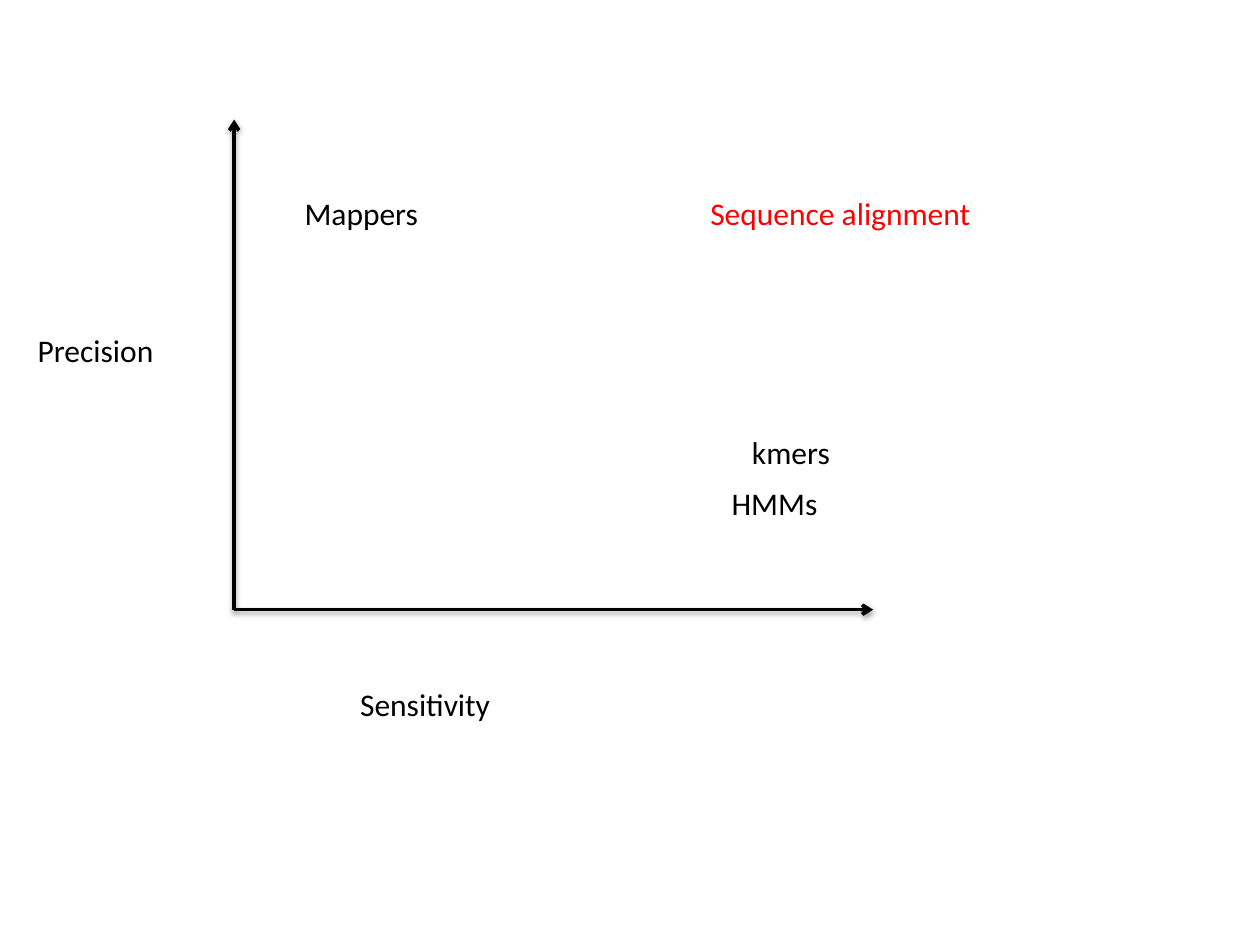
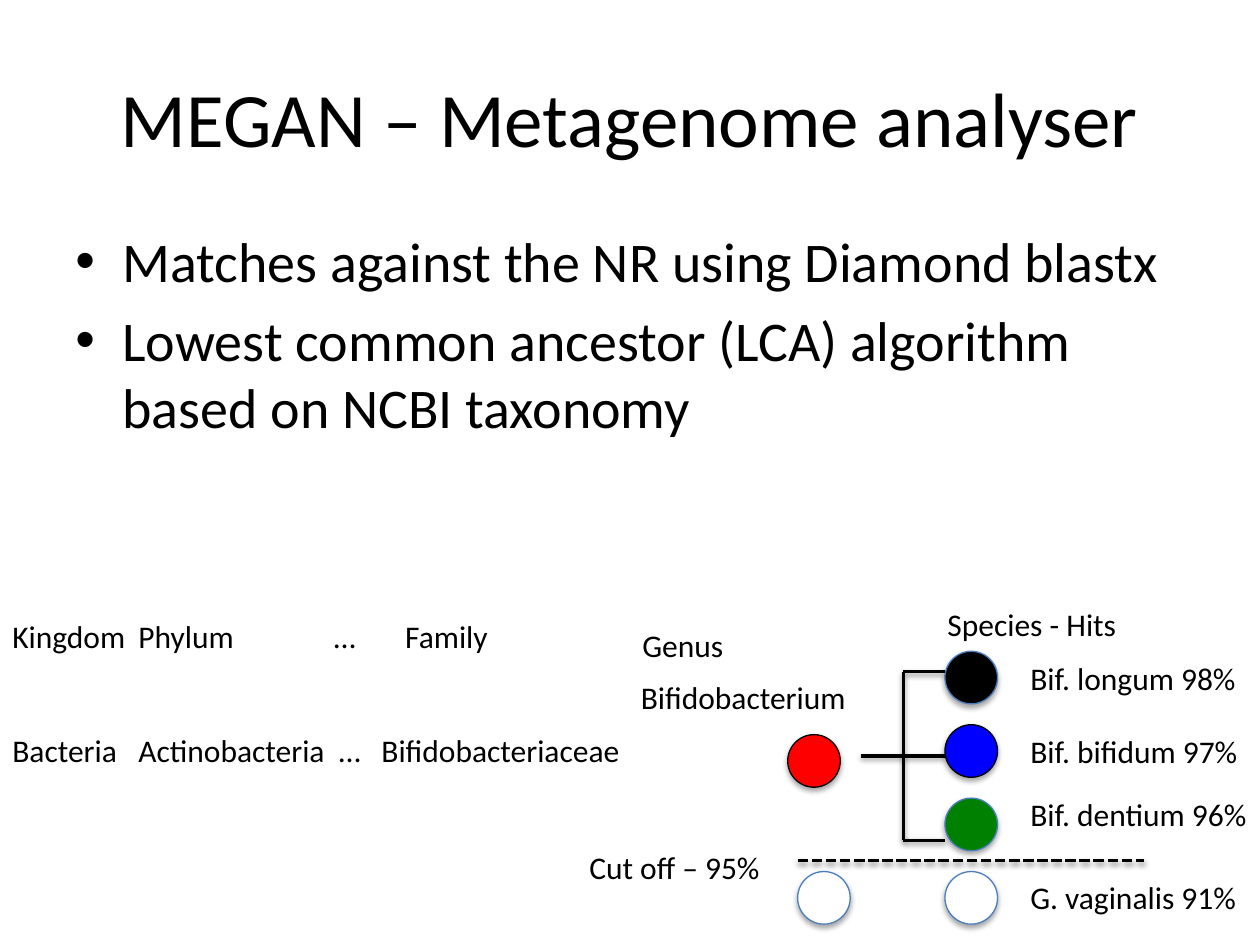
from dataclasses import dataclass

from lxml import etree
from pptx import Presentation
from pptx import util as u
from pptx.dml.color import RGBColor
from pptx.enum import dml, shapes, text
from pptx.oxml.ns import qn

BLACK = RGBColor(0x00, 0x00, 0x00)
WHITE = RGBColor(0xFF, 0xFF, 0xFF)
RED = RGBColor(0xFF, 0x00, 0x00)
BLUE = RGBColor(0x00, 0x00, 0xFF)
GREEN = RGBColor(0x00, 0x80, 0x00)
OUTLINE = RGBColor(0x4B, 0x7E, 0xBC)

FONT = "Calibri"
LABEL_SIZE, BODY_SIZE, TITLE_SIZE = 18, 32, 44
LABEL_HEIGHT = 1.03
DOT_SIZE = 1.06
BULLET_INDENT = 0.95
HIT_X, HIT_LABEL_X = 19.05, 20.52
HIT_TOP, HIT_STEP = 13.13, 1.48


@dataclass(frozen=True)
class Label:
    text: str
    x: float
    y: float
    w: float
    color: RGBColor = BLACK


@dataclass(frozen=True)
class Line:
    x1: float
    y1: float
    x2: float
    y2: float
    arrow: bool = False
    dashed: bool = False


@dataclass(frozen=True)
class Dot:
    x: float
    y: float
    fill: RGBColor
    line: RGBColor = OUTLINE


@dataclass(frozen=True)
class Hit:
    text: str
    y: float
    w: float
    fill: RGBColor
    line: RGBColor = OUTLINE


@dataclass(frozen=True)
class TaxonomyRow:
    names: tuple[str, ...]
    tabs: tuple[float, ...]
    space_before: float = 0


AXES = (
    Line(4.72, 12.29, 17.6, 12.29, arrow=True),
    Line(4.72, 12.29, 4.72, 2.41, arrow=True),
)
METHOD_LABELS = (
    Label("Sensitivity", 7.01, 13.69, 3.15),
    Label("Precision", 0.51, 6.55, 2.87),
    Label("Sequence alignment", 14.07, 3.78, 5.82, RED),
    Label("HMMs", 14.5, 9.63, 2.26),
    Label("Mappers", 5.89, 3.78, 2.84),
    Label("kmers", 14.91, 8.61, 2.11),
)
BULLETS = (
    "Matches against the NR using Diamond blastx",
    "Lowest common ancestor (LCA) algorithm based on NCBI taxonomy",
)
HITS = (
    Hit("Bif. longum 98%", 13.16, 4.72, BLACK),
    Hit("Bif. bifidum 97%", 14.63, 4.75, BLUE, BLACK),
    Hit("Bif. dentium 96%", 15.9, 4.93, GREEN),
    Hit("G. vaginalis 91%", 17.58, 4.72, WHITE),
)
GENUS_DOTS = (
    Dot(15.88, 14.81, RED, BLACK),
    Dot(16.08, HIT_TOP + 3 * HIT_STEP, WHITE),
)
TREE_LINES = (
    Line(16.08, 17.35, 23.06, 17.35, dashed=True),
    Line(17.35, 15.24, 18.21, 15.24),
    Line(18.21, 13.54, 18.21, 16.94),
    *(Line(18.21, y, HIT_X, y) for y in (13.54, 15.24, 16.94)),
)
TREE_LABELS = (
    Label("Species - Hits", 18.85, 12.07, 3.96),
    Label("Cut off – 95%", 11.63, 16.97, 3.99),
    Label("Bifidobacterium", 12.67, 13.54, 4.67),
    Label("Genus", 12.7, 12.5, 2.16),
)
TAXONOMY = (
    TaxonomyRow(("Kingdom", "Phylum", "…", "Family"), (2.54, 6.48, 7.92)),
    TaxonomyRow(("Bacteria", "Actinobacteria", "…", "Bifidobacteriaceae"),
                (2.54, 6.58, 7.44), 43.5),
)


def add_shadow(sp, alpha: int, dist: float) -> None:
    sp_pr = sp.element.spPr
    effects = sp_pr.find(qn("a:effectLst"))
    if effects is None:
        effects = etree.SubElement(sp_pr, qn("a:effectLst"))
    shadow = etree.SubElement(effects, qn("a:outerShdw"), blurRad=str(u.Pt(3.1)),
                              dist=str(u.Pt(dist)), dir="5400000", rotWithShape="0")
    color = etree.SubElement(shadow, qn("a:srgbClr"), val=str(BLACK))
    etree.SubElement(color, qn("a:alpha"), val=str(alpha * 1000))


def add_line(s, line: Line) -> None:
    sp = s.shapes.add_connector(shapes.MSO_CONNECTOR.STRAIGHT, u.Cm(line.x1),
                                u.Cm(line.y1), u.Cm(line.x2), u.Cm(line.y2))
    sp.line.color.rgb = BLACK
    sp.line.width = u.Pt(2)
    if line.dashed:
        sp.line.dash_style = dml.MSO_LINE.SQUARE_DOT
    if line.arrow:
        ln = sp.element.spPr.find(qn("a:ln"))
        etree.SubElement(ln, qn("a:tailEnd"), type="arrow")
    add_shadow(sp, 38, 1.6)


def add_dot(s, dot: Dot) -> None:
    sp = s.shapes.add_shape(shapes.MSO_SHAPE.OVAL, u.Cm(dot.x), u.Cm(dot.y),
                            u.Cm(DOT_SIZE), u.Cm(DOT_SIZE))
    sp.shadow.inherit = False
    sp.fill.solid()
    sp.fill.fore_color.rgb = dot.fill
    sp.line.color.rgb = dot.line
    sp.line.width = u.Pt(0.75)
    add_shadow(sp, 35, 1.8)


def add_box(s, x: float, y: float, w: float, h: float, wrap: bool = True):
    sp = s.shapes.add_textbox(u.Cm(x), u.Cm(y), u.Cm(w), u.Cm(h))
    sp.text_frame.word_wrap = wrap
    return sp.text_frame


def write(p, words: str, size: float, color: RGBColor = BLACK) -> None:
    p.text = words
    for r in p.runs:
        r.font.name = FONT
        r.font.size = u.Pt(size)
        r.font.color.rgb = color


def paragraph_at(tf, i: int):
    return tf.add_paragraph() if i else tf.paragraphs[0]


def add_label(s, label: Label) -> None:
    tf = add_box(s, label.x, label.y, label.w, LABEL_HEIGHT, wrap=False)
    write(tf.paragraphs[0], label.text, LABEL_SIZE, label.color)


def add_title(s, words: str) -> None:
    tf = add_box(s, 1.27, 0.76, 22.86, 3.18)
    tf.vertical_anchor = text.MSO_ANCHOR.MIDDLE
    p = tf.paragraphs[0]
    p.alignment = text.PP_ALIGN.CENTER
    write(p, words, TITLE_SIZE)


def add_bullets(s, items: tuple[str, ...]) -> None:
    tf = add_box(s, 1.27, 4.45, 22.86, 8.05)
    for i, item in enumerate(items):
        p = paragraph_at(tf, i)
        p_pr = p._p.get_or_add_pPr()
        p_pr.set("marL", str(u.Cm(BULLET_INDENT)))
        p_pr.set("indent", str(-u.Cm(BULLET_INDENT)))
        etree.SubElement(p_pr, qn("a:buFont"), typeface="Arial")
        etree.SubElement(p_pr, qn("a:buChar"), char="•")
        if i:
            p.space_before = u.Pt(0.2 * BODY_SIZE)
        write(p, item, BODY_SIZE)


def add_taxonomy(s, rows: tuple[TaxonomyRow, ...]) -> None:
    tf = add_box(s, 0, 12.32, 13.34, 3.33)
    for i, row in enumerate(rows):
        p = paragraph_at(tf, i)
        tabs = etree.SubElement(p._p.get_or_add_pPr(), qn("a:tabLst"))
        for pos in row.tabs:
            etree.SubElement(tabs, qn("a:tab"), pos=str(u.Cm(pos)), algn="l")
        if row.space_before:
            p.space_before = u.Pt(row.space_before)
        write(p, "\t".join(row.names), LABEL_SIZE)


def build_methods(s) -> None:
    for axis in AXES:
        add_line(s, axis)
    for label in METHOD_LABELS:
        add_label(s, label)


def build_megan(s) -> None:
    add_title(s, "MEGAN – Metagenome analyser")
    add_bullets(s, BULLETS)
    for i, hit in enumerate(HITS):
        add_dot(s, Dot(HIT_X, HIT_TOP + i * HIT_STEP, hit.fill, hit.line))
        add_label(s, Label(hit.text, HIT_LABEL_X, hit.y, hit.w))
    for dot in GENUS_DOTS:
        add_dot(s, dot)
    for line in TREE_LINES:
        add_line(s, line)
    for label in TREE_LABELS:
        add_label(s, label)
    add_taxonomy(s, TAXONOMY)


def main() -> None:
    prs = Presentation()
    prs.slide_width, prs.slide_height = u.Cm(25.4), u.Cm(19.05)
    for build in (build_methods, build_megan):
        build(prs.slides.add_slide(prs.slide_layouts[6]))
    prs.save("out.pptx")


if __name__ == "__main__":
    main()
